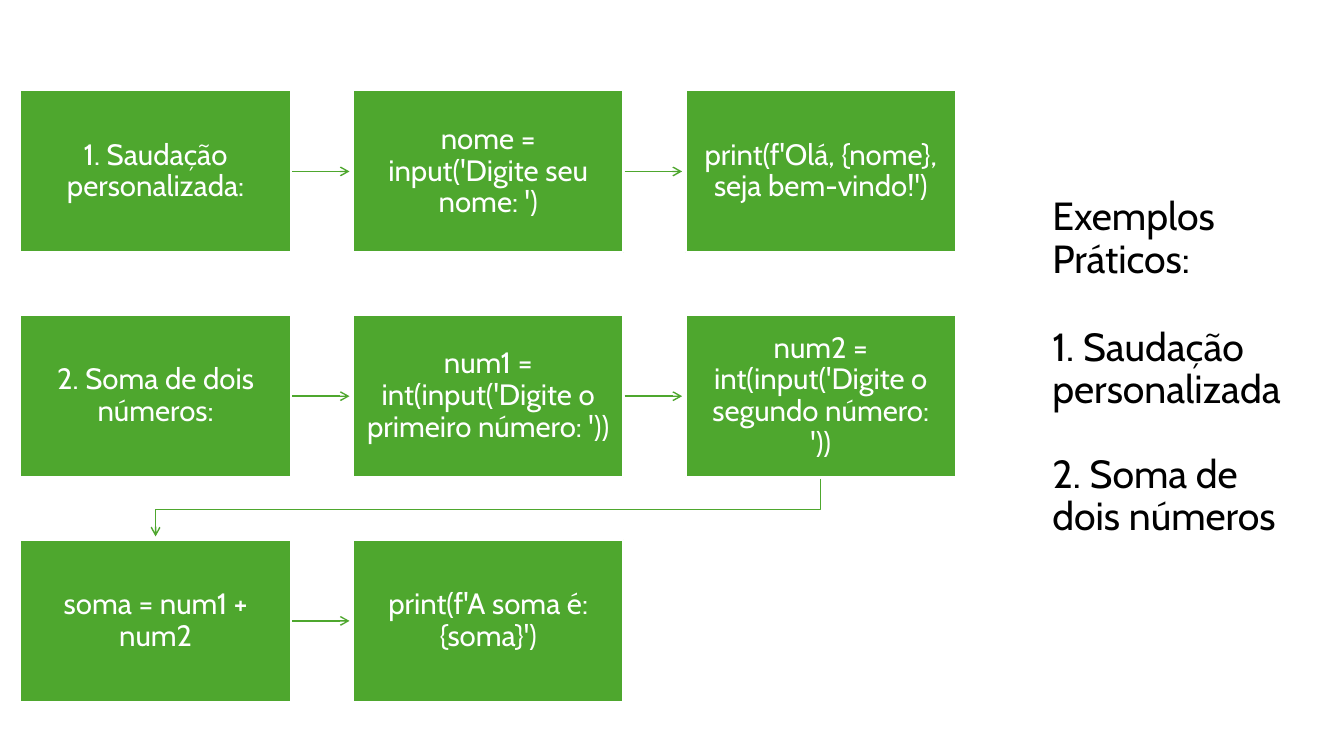
from lxml.etree import SubElement
from pptx import Presentation
from pptx.dml.color import RGBColor
from pptx.enum.shapes import MSO_CONNECTOR, MSO_SHAPE
from pptx.enum.text import MSO_ANCHOR, MSO_AUTO_SIZE, PP_ALIGN
from pptx.oxml.ns import qn
from pptx.util import Pt

HUES = {"green": "4EA72E", "white": "FFFFFF", "black": "000000"}
FONT = "Cabin"
STEPS = [
    ["1. Saudação personalizada:", "nome = input('Digite seu nome: ')",
     "print(f'Olá, {nome}, seja bem-vindo!')"],
    ["2. Soma de dois números:", "num1 = int(input('Digite o primeiro número: '))",
     "num2 = int(input('Digite o segundo número: '))"],
    ["soma = num1 + num2", "print(f'A soma é: {soma}')"],
]
TOPICS = [("Exemplos Práticos:", 0), ("1. Saudação personalizada", 33),
          ("2. Soma de dois números", 30)]


def hue(name):
    return RGBColor.from_string(HUES[name])


def add_run(para, text, size, color):
    para.line_spacing = 0.9
    run = para.add_run()
    run.text = text
    run.font.name = FONT
    run.font.size = Pt(size)
    run.font.color.rgb = hue(color)


def style_arrow(arrow):
    arrow.line.color.rgb = hue("green")
    arrow.line.width = Pt(1)
    SubElement(arrow.line._get_or_add_ln(), qn("a:tailEnd"), type="arrow")


def add_step(slide, text, left, top, width, height):
    step = slide.shapes.add_shape(
        MSO_SHAPE.RECTANGLE, Pt(left), Pt(top), Pt(width), Pt(height))
    step.shadow.inherit = False
    step.fill.solid()
    step.fill.fore_color.rgb = hue("green")
    step.line.color.rgb = hue("white")
    step.line.width = Pt(1.5)
    frame = step.text_frame
    frame.word_wrap = True
    frame.vertical_anchor = MSO_ANCHOR.MIDDLE
    frame.margin_left = frame.margin_right = Pt(9.5)
    frame.margin_top = frame.margin_bottom = Pt(10)
    para = frame.paragraphs[0]
    para.alignment = PP_ALIGN.CENTER
    add_run(para, text, 21, "white")


def add_link(slide, start, end, level):
    link = slide.shapes.add_connector(
        MSO_CONNECTOR.STRAIGHT, Pt(start), Pt(level), Pt(end), Pt(level))
    style_arrow(link)
    SubElement(link._element.spPr, qn("a:effectLst"))


def add_turn(slide, start, end, top, bend, foot):
    pen = slide.shapes.build_freeform(Pt(start), Pt(top))
    pen.add_line_segments(
        [(Pt(x), Pt(y)) for x, y in [(start, bend), (end, bend), (end, foot)]],
        close=False)
    turn = pen.convert_to_shape()
    turn.shadow.inherit = False
    turn.fill.background()
    style_arrow(turn)


def add_flow(slide, left, top, width, height):
    # Three by three grid with equal gaps
    gap_x, gap_y = 44.5, 44.8
    step_w = (width - 2 * gap_x) / 3
    step_h = (height - 2 * gap_y) / 3
    for row, texts in enumerate(STEPS):
        y = top + row * (step_h + gap_y)
        for col, text in enumerate(texts):
            x = left + col * (step_w + gap_x)
            add_step(slide, text, x, y, step_w, step_h)
            if col:
                add_link(slide, x - gap_x + 1, x - 2.5, y + step_h / 2)
    # Bent arrow from the end of row two to the start of row three
    floor = top + 2 * step_h + gap_y
    add_turn(slide, left + width - step_w / 2, left + step_w / 2,
             floor + 1, floor + 23, floor + gap_y - 2.5)


def add_title(slide, left, top, width, height):
    title = slide.shapes.title
    title.left, title.top = Pt(left), Pt(top)
    title.width, title.height = Pt(width), Pt(height)
    frame = title.text_frame
    frame.word_wrap = True
    frame.auto_size = MSO_AUTO_SIZE.NONE
    frame.vertical_anchor = MSO_ANCHOR.MIDDLE
    for i, (text, gap) in enumerate(TOPICS):
        para = frame.add_paragraph() if i else frame.paragraphs[0]
        para.alignment = PP_ALIGN.LEFT
        para.space_before = Pt(gap)
        add_run(para, text, 28, "black")


def main():
    deck = Presentation()
    deck.slide_width, deck.slide_height = Pt(960), Pt(540)
    slide = deck.slides.add_slide(deck.slide_layouts[5])
    add_title(slide, 744.5, 43.2, 185.8, 439.2)
    add_flow(slide, 14.6, 64.6, 668.2, 436.8)
    deck.save("out.pptx")


if __name__ == "__main__":
    main()
